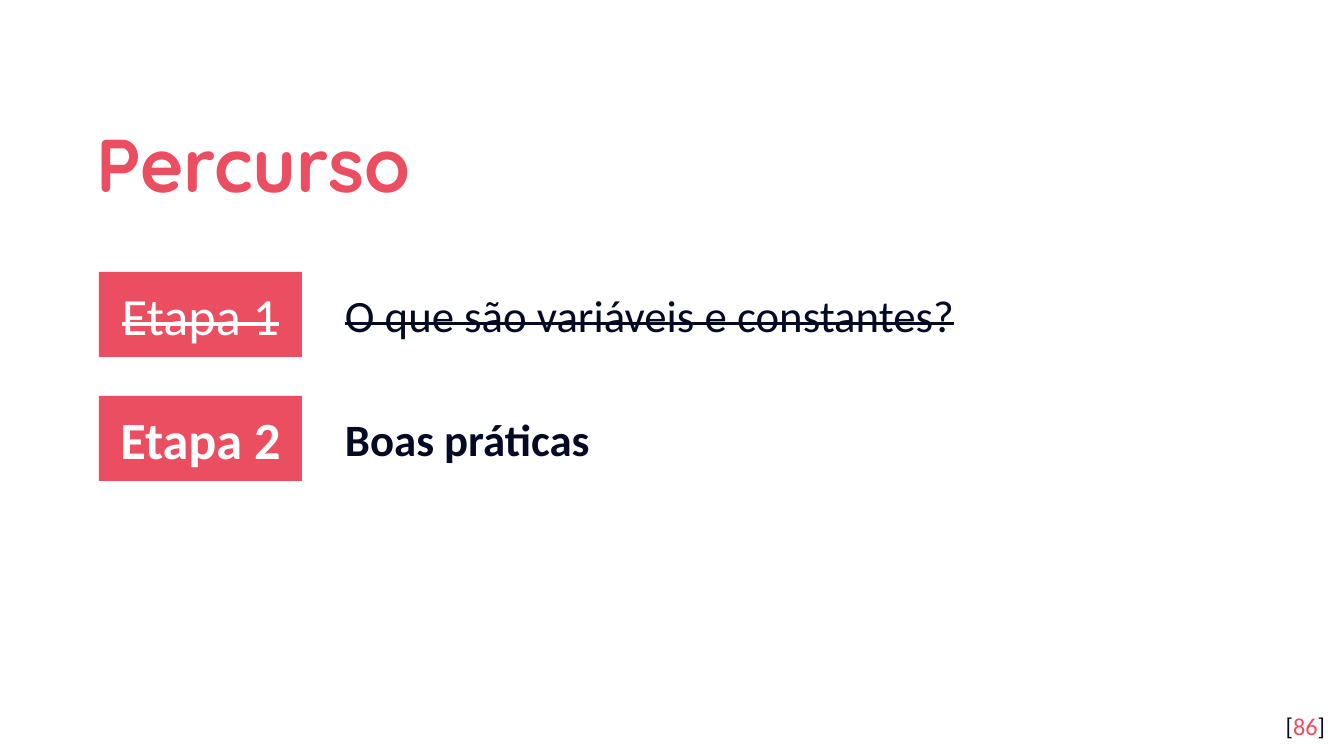
import pptx
import pptx.util
import pptx.dml.color
import pptx.enum.shapes
import pptx.enum.text

# Content
HEADING = "Percurso"
STEPS = [
    {"label": "Etapa 1", "topic": "O que são variáveis e constantes?", "done": True},
    {"label": "Etapa 2", "topic": "Boas práticas", "done": False},
]
PAGE_NUMBER = [("[", "ink"), ("86", "accent"), ("]", "ink")]

# Style and layout, lengths in px
COLORS = {"accent": "EA4E60", "ink": "040A24", "white": "FFFFFF"}
EMU_PER_PX = 914400 / 134.4
SLIDE_W, SLIDE_H = 1344, 756
INSET = 13
STEP_TOP, STEP_PITCH, STEP_H = 272, 124, 85
LABEL_LEFT, LABEL_W = 99, 203
TOPIC_LEFT, TOPIC_W, TOPIC_H = 332, 907, 67

ALIGN = pptx.enum.text.PP_ALIGN
ANCHOR = pptx.enum.text.MSO_ANCHOR


def px(length):
    return pptx.util.Emu(round(length * EMU_PER_PX))


def box(*lengths):
    return [px(length) for length in lengths]


def color(name):
    return pptx.dml.color.RGBColor.from_string(COLORS[name])


def set_frame(shape, align, anchor, inset_y=INSET):
    frame = shape.text_frame
    frame.word_wrap = True
    frame.auto_size = pptx.enum.text.MSO_AUTO_SIZE.NONE
    frame.vertical_anchor = anchor
    frame.margin_left = frame.margin_right = px(INSET)
    frame.margin_top = frame.margin_bottom = px(inset_y)
    paragraph = frame.paragraphs[0]
    paragraph.alignment = align
    return paragraph


def add_run(paragraph, text, size, color_name, font="Calibri", bold=False, strike=False):
    run = paragraph.add_run()
    run.text = text
    run.font.name = font
    run.font.size = pptx.util.Pt(size)
    run.font.bold = bold
    run.font.color.rgb = color(color_name)
    if strike:
        run._r.get_or_add_rPr().set("strike", "sngStrike")


deck = pptx.Presentation()
deck.slide_width, deck.slide_height = box(SLIDE_W, SLIDE_H)
slide = deck.slides.add_slide(deck.slide_layouts[5])

# Heading
heading = slide.shapes.title
heading.left, heading.top, heading.width, heading.height = box(83, 94, 1089, 124)
paragraph = set_frame(heading, ALIGN.LEFT, ANCHOR.MIDDLE)
paragraph.line_spacing = 1.15
add_run(paragraph, HEADING, 40, "accent", font="Quicksand", bold=True)

# Steps: label block and topic, finished ones struck through
for index, step in enumerate(STEPS):
    top = STEP_TOP + index * STEP_PITCH
    emphasis = {"bold": not step["done"], "strike": step["done"]}

    label = slide.shapes.add_shape(
        pptx.enum.shapes.MSO_SHAPE.RECTANGLE, *box(LABEL_LEFT, top, LABEL_W, STEP_H))
    label.shadow.inherit = False
    label.fill.solid()
    label.fill.fore_color.rgb = color("accent")
    label.line.fill.background()
    paragraph = set_frame(label, ALIGN.CENTER, ANCHOR.MIDDLE)
    add_run(paragraph, step["label"], 28, "white", **emphasis)

    topic_top = top + (STEP_H - TOPIC_H) // 2
    topic = slide.shapes.add_textbox(*box(TOPIC_LEFT, topic_top, TOPIC_W, TOPIC_H))
    paragraph = set_frame(topic, ALIGN.LEFT, ANCHOR.TOP, inset_y=7)
    add_run(paragraph, step["topic"], 24, "ink", **emphasis)

# Page number
page_number = slide.shapes.add_textbox(*box(1258, 698, 80, 58))
paragraph = set_frame(page_number, ALIGN.RIGHT, ANCHOR.TOP)
for text, color_name in PAGE_NUMBER:
    add_run(paragraph, text, 13, color_name)

deck.save("out.pptx")
